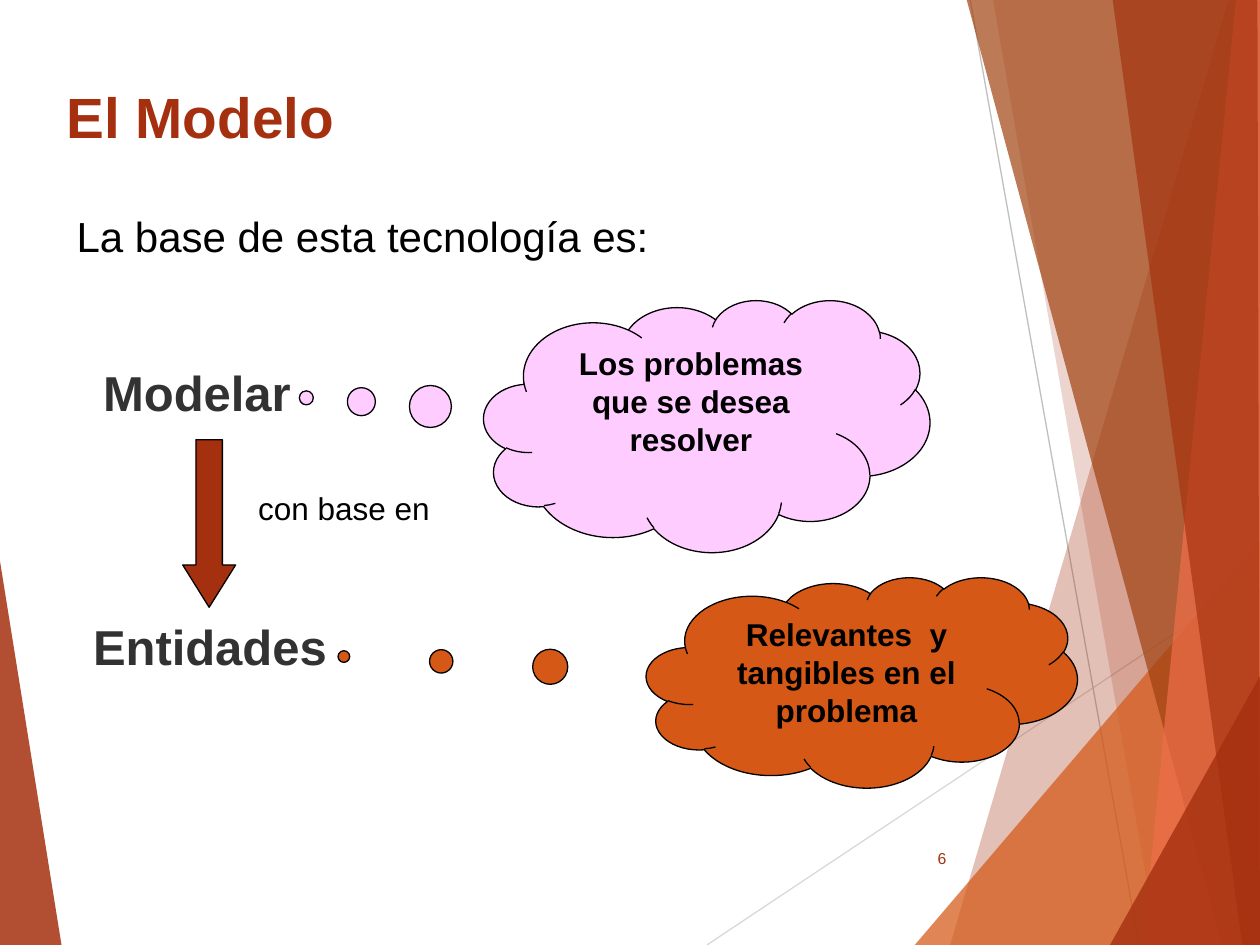
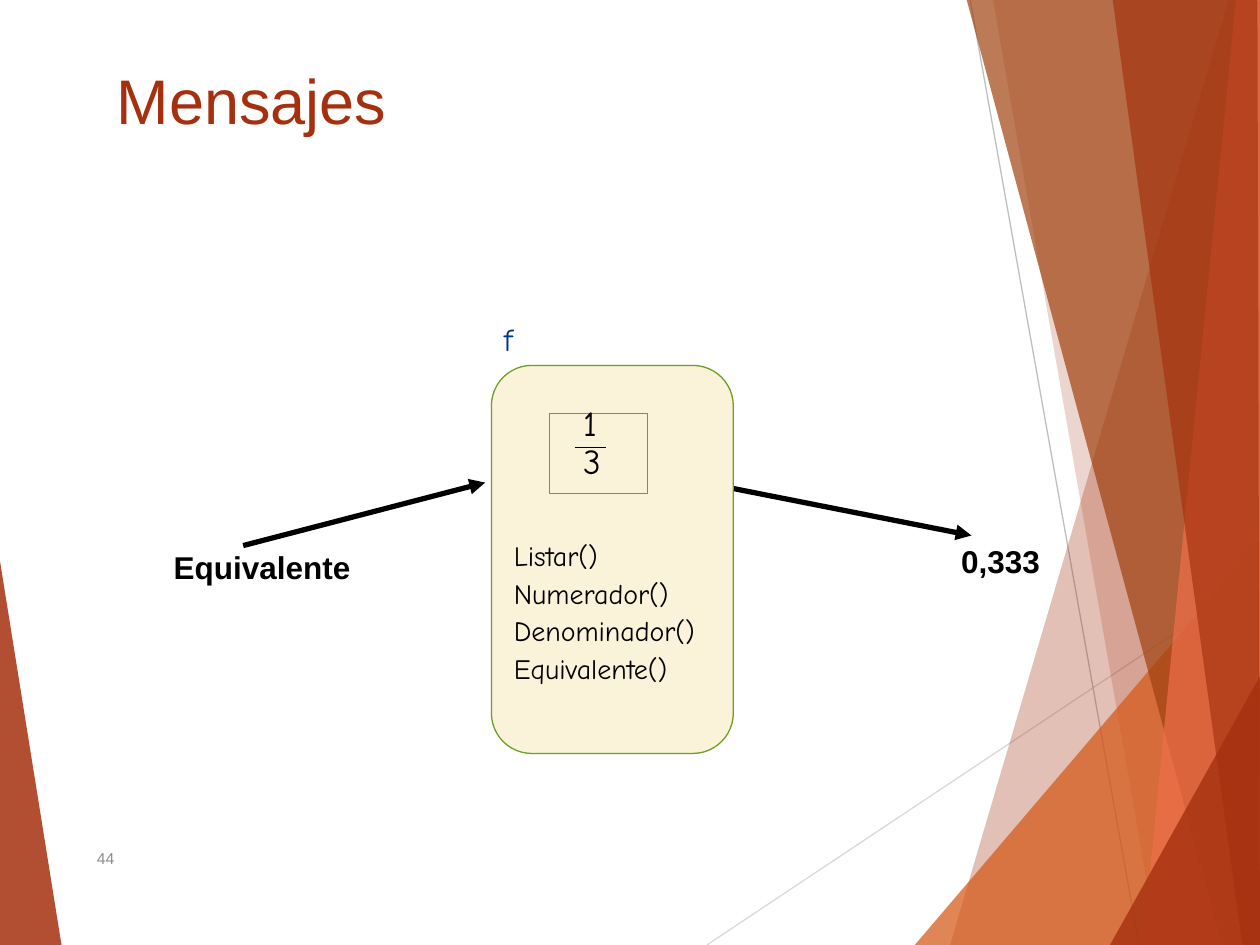
from lxml import etree
from pptx import Presentation, util as u
from pptx.dml.color import RGBColor
from pptx.enum import shapes, text
from pptx.oxml.ns import qn

# The grid has square cells: 100 columns by 75 rows
CELL = u.Inches(0.1)
COLS, ROWS = 100, 75

RUST = RGBColor(0xA5, 0x30, 0x0F)
ORANGE = RGBColor(0xD5, 0x58, 0x16)
BROWN = RGBColor(0xA0, 0x42, 0x10)
CORAL = RGBColor(0xEE, 0x6E, 0x4A)
PINK = RGBColor(0xFF, 0xCC, 0xFF)
CREAM = RGBColor(0xFA, 0xF3, 0xD9)
GREEN = RGBColor(0x6B, 0x9F, 0x25)
BLUE = RGBColor(0x00, 0x33, 0x99)
BLACK = RGBColor(0, 0, 0)
CHARCOAL = RGBColor(0x32, 0x32, 0x32)
GRAY = RGBColor(0x8C, 0x8C, 0x8C)
SILVER = RGBColor(0xBF, 0xBF, 0xBF)
PALE = RGBColor(0xD9, 0xD9, 0xD9)

SANS, HAND = "Arial", "Comic Neue"
SHAPE = shapes.MSO_SHAPE
ALIGN, ANCHOR = text.PP_ALIGN, text.MSO_ANCHOR

# Theme facets: colour, opacity in percent, corners
FACETS = [
    (RUST, 85, [(-0.1, 43.9), (4.9, 75.1), (-0.1, 75)]),
    (RUST, 30, [(97.5, 0), (75.4, 75), (100.2, 75.1), (100.1, 0.1)]),
    (RUST, 20, [(78.8, -0.1), (91.9, 75), (100.1, 75), (100.1, -0.1)]),
    (ORANGE, 72, [(72.6, 75), (100, 42.9), (100.1, 75)]),
    (BROWN, 70, [(76.7, -0.1), (97, 75), (100.1, 75), (100.1, -0.1)]),
    (CORAL, 70, [(98.1, -0.1), (90.7, 75), (100.1, 75), (100, -0.1)]),
    (RUST, 65, [(88.3, -0.1), (98.6, 75), (100, 75), (99.8, -0.1)]),
    (RUST, 80, [(88.1, 75), (100.1, 53.5), (100.1, 75)]),
]


def cells(*values):
    return [round(v * CELL) for v in values]


def add_line(s, start, end, color, width=0.75, arrow=False):
    cn = s.shapes.add_connector(
        shapes.MSO_CONNECTOR.STRAIGHT, *cells(*start, *end))
    cn.line.color.rgb = color
    cn.line.width = u.Pt(width)
    if arrow:
        etree.SubElement(cn.line._get_or_add_ln(), qn("a:tailEnd"),
                         type="triangle")
    etree.SubElement(cn._element.spPr, qn("a:effectLst"))


def add_facet(s, color, opacity, corners):
    first, *rest = [cells(*c) for c in corners]
    fb = s.shapes.build_freeform(*first)
    fb.add_line_segments(rest, close=True)
    sp = fb.convert_to_shape()
    sp.shadow.inherit = False
    sp.fill.solid()
    sp.fill.fore_color.rgb = color
    sp.line.fill.background()
    clr = sp._element.spPr.find(qn("a:solidFill"))[0]
    etree.SubElement(clr, qn("a:alpha"), val=str(opacity * 1000))


def write(sp, lines, size, color=BLACK, font=SANS, bold=False,
          align=ALIGN.LEFT, anchor=ANCHOR.TOP, spacing=None, indent=0):
    """Fill a shape; paragraphs after the first get half a line of space."""
    tf = sp.text_frame
    tf.word_wrap = True
    tf.vertical_anchor = anchor
    for i, line in enumerate(lines):
        p = tf.add_paragraph() if i else tf.paragraphs[0]
        p.alignment = align
        if spacing:
            p.line_spacing = spacing
        if i:
            p.space_before = u.Pt(size / 2)
        if indent:
            p._p.get_or_add_pPr().set("marL", str(*cells(indent)))
        r = p.add_run()
        r.text = line
        r.font.size = u.Pt(size)
        r.font.name = font
        r.font.bold = bold
        r.font.color.rgb = color


def add_text(s, box, lines, size, **style):
    write(s.shapes.add_textbox(*cells(*box)), lines, size, **style)


def add_shape(s, kind, box, fill=None, line=BLACK, adjust=()):
    sp = s.shapes.add_shape(kind, *cells(*box))
    sp.shadow.inherit = False
    if fill is None:
        sp.fill.background()
    else:
        sp.fill.solid()
        sp.fill.fore_color.rgb = fill
    sp.line.color.rgb = line
    sp.line.width = u.Pt(0.75)
    for i, value in enumerate(adjust):
        sp.adjustments[i] = value
    return sp


def add_cloud(s, box, fill, tail, words):
    sp = add_shape(s, SHAPE.CLOUD_CALLOUT, box, fill, adjust=tail)
    write(sp, [words], 18, bold=True, align=ALIGN.CENTER)


def add_title(s, box, words, size, bold=False):
    add_text(s, box, [words], size, color=RUST, bold=bold,
             anchor=ANCHOR.BOTTOM)


def add_number(s, box, number, color, align):
    add_text(s, box, [number], 9, color=color, align=align,
             anchor=ANCHOR.MIDDLE)


def new_slide(prs):
    """Blank slide with the facets and thin lines of the theme."""
    s = prs.slides.add_slide(prs.slide_layouts[6])
    add_facet(s, *FACETS[0])
    add_line(s, (56.1, ROWS), (100.1, 45.7), PALE)
    add_line(s, (77, 0), (90.4, ROWS), SILVER)
    for facet in FACETS[1:]:
        add_facet(s, *facet)
    return s


def model_slide(prs):
    s = new_slide(prs)
    add_title(s, (4.3, 5.7, 40.2, 6.7), "El Modelo", 32.4, bold=True)
    add_number(s, (70.5, 66.1, 5.6, 4), "6", RUST, ALIGN.RIGHT)
    add_text(s, (5.1, 16.2, 81.7, 5), ["La base de esta tecnología es:"], 24)

    # From modelling to entities
    add_text(s, (7.2, 28.3, 18.1, 5.7), ["Modelar"], 28,
             color=CHARCOAL, bold=True)
    add_text(s, (19.5, 38.3, 20, 4), ["con base en"], 18)
    add_text(s, (6.4, 48.4, 21.7, 5.7), ["Entidades"], 28,
             color=CHARCOAL, bold=True)
    add_shape(s, SHAPE.DOWN_ARROW, (14.5, 34.9, 4.2, 13.3), RUST,
              adjust=(0.5, 0.8))

    # What each term stands for
    add_cloud(s, (38.4, 23.8, 35.4, 20), PINK, (-0.898, -0.111),
              "Los problemas que se desea resolver")
    add_cloud(s, (51.3, 45.8, 34.2, 16.7), ORANGE, (-1.202, -0.122),
              "Relevantes  y tangibles en el problema")


def messages_slide(prs):
    s = new_slide(prs)
    add_number(s, (6.7, 66.1, 50.6, 4), "44", GRAY, ALIGN.LEFT)

    # Message in, answer out
    add_line(s, (19.3, 43.3), (38.5, 38.3), BLACK, 3, arrow=True)
    add_text(s, (11.4, 43, 17.4, 4), ["Equivalente"], 18, bold=True,
             align=ALIGN.RIGHT)
    add_text(s, (75.3, 42.5, 12.6, 4), ["0,333"], 18, bold=True)
    add_line(s, (55.8, 38.3), (77.1, 42.5), BLACK, 3, arrow=True)

    # Object f with its fraction and methods
    add_shape(s, SHAPE.ROUNDED_RECTANGLE, (39, 29, 19.2, 30.8), CREAM, GREEN,
              adjust=(0.167,))
    add_text(s, (39, 24.9, 3.7, 5), ["f"], 18, color=BLUE, font=HAND)
    fraction = add_shape(s, SHAPE.RECTANGLE, (43.6, 32.8, 7.8, 6.4),
                         line=GREEN)
    write(fraction, ["1", "3"], 20, font=HAND, spacing=0.5, indent=1.7)
    add_text(s, (39.8, 43, 18.1, 12.5),
             ["Listar()", "Numerador()", "Denominador()", "Equivalente()"],
             16, font=HAND, spacing=0.7)
    add_line(s, (45.6, 35.5), (48.1, 35.5), BLACK)
    add_title(s, (8.3, 4.4, 89.3, 7), "Mensajes", 36)


def main():
    prs = Presentation()
    prs.slide_width, prs.slide_height = cells(COLS, ROWS)
    model_slide(prs)
    messages_slide(prs)
    prs.save("out.pptx")


if __name__ == "__main__":
    main()
